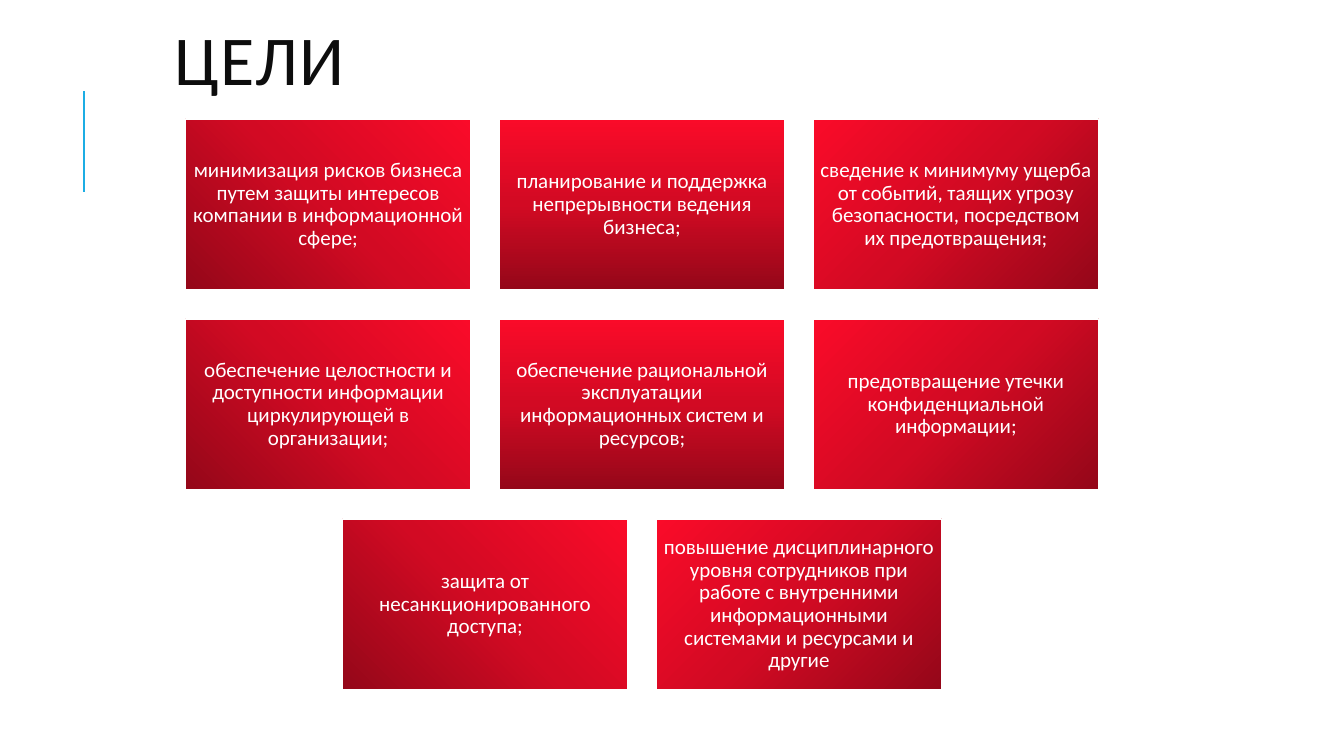
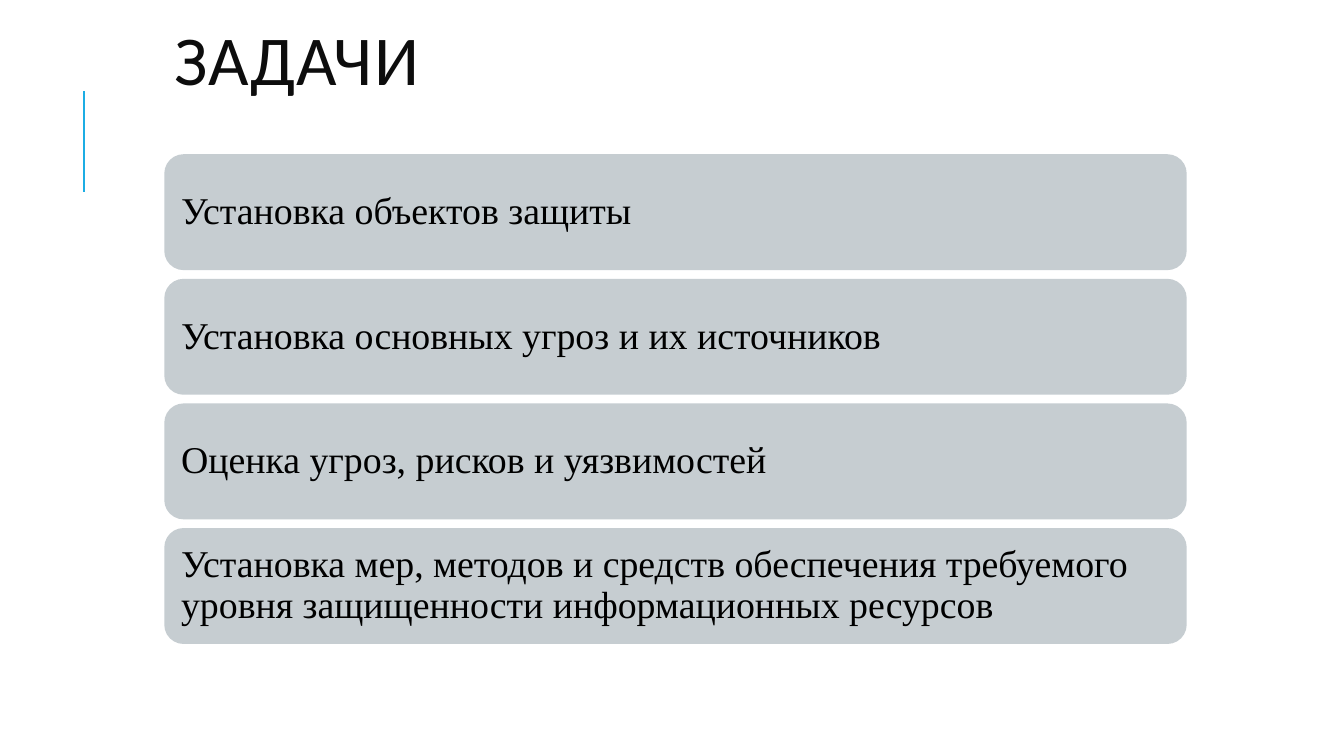
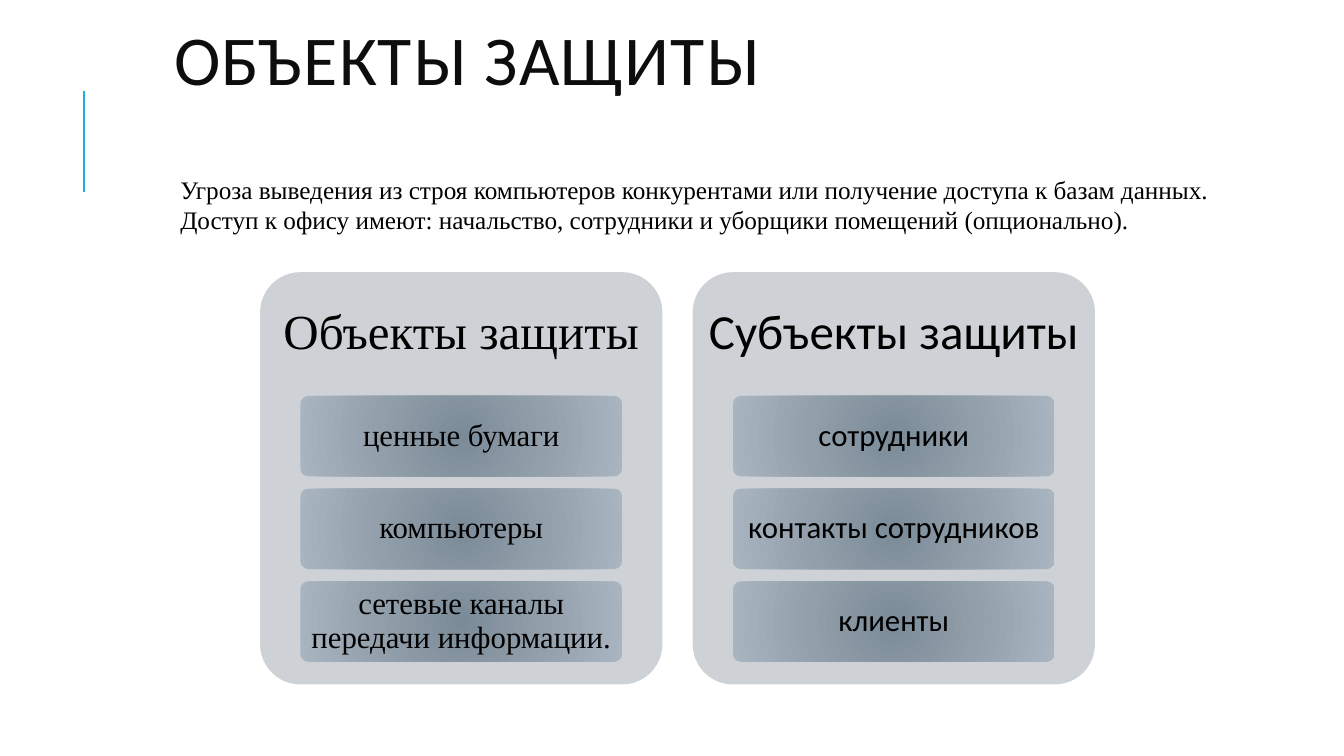
"""Builds three slides on the goals, tasks and objects of information security."""
from dataclasses import dataclass
from typing import NamedTuple

from pptx import Presentation
from pptx.dml.color import RGBColor as Rgb
from pptx.enum.shapes import MSO_CONNECTOR as Link, MSO_SHAPE as Form
from pptx.enum.text import MSO_ANCHOR as Anchor, MSO_AUTO_SIZE as Auto, PP_ALIGN as Align
from pptx.oxml import parse_xml
from pptx.oxml.ns import nsdecls, qn
from pptx.util import Inches, Pt


@dataclass(frozen=True)
class Theme:
    wide: float = 13.33
    high: float = 7.5
    sans: str = "Calibri"
    serif: str = "Times New Roman"
    ink: str = "000000"
    title: str = "0D0D0D"
    white: str = "FFFFFF"
    rule: str = "1CADE4"
    bar: str = "C6CDD1"
    panel: str = "CED2D6"
    reds: tuple = ((0, "940719"), (50, "D20A23"), (100, "FA0B29"))
    greys: tuple = ((0, "7C8B98"), (100, "A8B4BF"))
    title_size: int = 50
    head_size: int = 35
    bar_size: int = 27
    item_size: int = 22
    note_size: int = 18
    card_size: int = 15


class Box(NamedTuple):
    left: float
    top: float
    wide: float
    high: float


class Style(NamedTuple):
    size: int
    face: str
    color: str
    align: Align = Align.CENTER
    space: float = 0.9


class Panel(NamedTuple):
    head: str
    face: str
    items: tuple


THEME = Theme()
GOALS = (
    ("минимизация рисков бизнеса путем защиты интересов компании в информационной сфере;",
     "планирование и поддержка непрерывности ведения бизнеса;",
     "сведение к минимуму ущерба от событий, таящих угрозу безопасности, "
     "посредством их предотвращения;"),
    ("обеспечение целостности и доступности информации циркулирующей в организации;",
     "обеспечение рациональной эксплуатации информационных систем и ресурсов;",
     "предотвращение утечки конфиденциальной информации;"),
    ("защита от несанкционированного доступа;",
     "повышение дисциплинарного уровня сотрудников при работе с внутренними "
     "информационными системами и ресурсами и другие"),
)
TASKS = (
    "Установка объектов защиты",
    "Установка основных угроз и их источников",
    "Оценка угроз, рисков и уязвимостей",
    "Установка мер, методов и средств обеспечения требуемого уровня "
    "защищенности информационных ресурсов",
)
NOTES = (
    "Угроза выведения из строя компьютеров конкурентами или получение доступа к базам данных.",
    "Доступ к офису имеют: начальство, сотрудники и уборщики помещений (опционально).",
)
PANELS = (
    Panel("Объекты защиты", THEME.serif,
          ("ценные бумаги", "компьютеры", "сетевые каналы передачи информации.")),
    Panel("Субъекты защиты", THEME.sans,
          ("сотрудники", "контакты сотрудников", "клиенты")),
)


def write(shape, lines: tuple, style: Style, pad: tuple = (0.1, 0.05),
          anchor: Anchor = Anchor.MIDDLE) -> None:
    """Fill a shape with paragraphs of one style."""
    frame = shape.text_frame
    frame.word_wrap = True
    frame.vertical_anchor = anchor
    frame.margin_left = frame.margin_right = Inches(pad[0])
    frame.margin_top = frame.margin_bottom = Inches(pad[1])
    frame.text = "\n".join(lines)
    for para in frame.paragraphs:
        para.alignment = style.align
        para.line_spacing = style.space
        para.font.size = Pt(style.size)
        para.font.name = style.face
        para.font.color.rgb = Rgb.from_string(style.color)


def add_text(slide, box: Box, lines: tuple, style: Style, **more):
    """Add a text box."""
    shape = slide.shapes.add_textbox(*map(Inches, box))
    write(shape, lines, style, **more)
    return shape


def add_form(slide, form: Form, box: Box, fill: str = "", edge: float | None = None):
    """Add a preset shape without a line or a shadow."""
    shape = slide.shapes.add_shape(form, *map(Inches, box))
    shape.shadow.inherit = False
    shape.line.fill.background()
    if fill:
        shape.fill.solid()
        shape.fill.fore_color.rgb = Rgb.from_string(fill)
    if edge is not None:
        shape.adjustments[0] = edge
    return shape


def blend(shape, stops: tuple, angle: int | None = None) -> None:
    """Give a shape a linear gradient, or a round one if there is no angle."""
    marks = "".join(f'<a:gs pos="{place * 1000}"><a:srgbClr val="{color}"/></a:gs>'
                    for place, color in stops)
    if angle is None:
        course = ('<a:path path="circle"><a:fillToRect l="100000" t="100000" '
                  'r="100000" b="100000"/></a:path>')
    else:
        course = f'<a:lin ang="{angle * 60000}" scaled="0"/>'
    shape.fill.gradient()
    props = shape.element.spPr
    props.replace(props.find(qn("a:gradFill")), parse_xml(
        f'<a:gradFill {nsdecls("a")} rotWithShape="1"><a:gsLst>{marks}</a:gsLst>{course}</a:gradFill>'))


def add_slide(deck, title: str):
    """Add a slide with the side rule and the title."""
    slide = deck.slides.add_slide(deck.slide_layouts[6])
    rule = slide.shapes.add_connector(Link.STRAIGHT, *map(Inches, (0.83, 1.9, 0.83, 0.9)))
    rule.line.color.rgb = Rgb.from_string(THEME.rule)
    rule.line.width = Pt(1.5)
    rule.element.spPr.append(parse_xml(f'<a:effectLst {nsdecls("a")}/>'))
    style = Style(THEME.title_size, THEME.sans, THEME.title, Align.LEFT, 0.8)
    shape = add_text(slide, Box(1.63, 0.22, 11.5, 0.85), (title,), style)
    for font in shape.element.iter(qn("a:defRPr")):
        font.set("spc", "100")
    return slide


def add_goals(deck) -> None:
    """Draw the goals as centred rows of red cards."""
    slide = add_slide(deck, "ЦЕЛИ")
    left, top, wide, high = 1.84, 1.18, 2.83, 1.7
    gap = wide * 0.1
    style = Style(THEME.card_size, THEME.sans, THEME.white)
    most = max(map(len, GOALS))
    for row, goals in enumerate(GOALS):
        shift = (most - len(goals)) / 2
        angles = (315, 270, 225) if len(goals) == most else (315, 225)
        for col, (goal, angle) in enumerate(zip(goals, angles)):
            box = Box(left + (col + shift) * (wide + gap), top + row * (high + gap), wide, high)
            card = add_form(slide, Form.RECTANGLE, box)
            blend(card, THEME.reds, angle)
            card.line.color.rgb = Rgb.from_string(THEME.white)
            card.line.width = Pt(1.25)
            write(card, (goal,), style, pad=(0.06, 0.06))


def add_tasks(deck) -> None:
    """Draw the tasks as a stack of grey bars."""
    slide = add_slide(deck, "ЗАДАЧИ")
    high = 1.15
    step = high * 1.075
    style = Style(THEME.bar_size, THEME.serif, THEME.ink, Align.LEFT)
    for row, task in enumerate(TASKS):
        box = Box(1.63, 1.53 + row * step, 10.14, high)
        bar = add_form(slide, Form.ROUNDED_RECTANGLE, box, THEME.bar)
        write(bar, (task,), style, pad=(0.11, 0.11))


def add_panel(slide, panel: Panel, box: Box) -> None:
    """Draw a panel with its heading and its items."""
    add_form(slide, Form.ROUNDED_RECTANGLE, box, THEME.panel, 0.1)
    head = box._replace(high=box.high * 0.3)
    add_text(slide, head, (panel.head,), Style(THEME.head_size, panel.face, THEME.ink),
             pad=(0.15, 0.15))
    high, gap = 0.8, 0.12
    style = Style(THEME.item_size, panel.face, THEME.ink)
    for row, item in enumerate(panel.items):
        place = Box(box.left + box.wide * 0.1, head.top + head.high + row * (high + gap),
                    box.wide * 0.8, high)
        tile = add_form(slide, Form.ROUNDED_RECTANGLE, place, edge=0.1)
        blend(tile, THEME.greys)
        write(tile, (item,), style, pad=(0.06, 0.05))


def add_objects(deck) -> None:
    """Draw the notes and the two panels."""
    slide = add_slide(deck, "ОБЪЕКТЫ ЗАЩИТЫ")
    style = Style(THEME.note_size, THEME.serif, THEME.ink, Align.JUSTIFY, 1.0)
    note = add_text(slide, Box(1.2, 1.68, 11.46, 0.71), NOTES, style, anchor=Anchor.TOP)
    note.text_frame.auto_size = Auto.SHAPE_TO_FIT_TEXT
    for props in note.element.iter(qn("a:pPr")):
        props.set("indent", str(Inches(0.49)))
    wide, gap = 3.99, 0.3
    for col, panel in enumerate(PANELS):
        add_panel(slide, panel, Box(2.58 + col * (wide + gap), 2.7, wide, 4.09))


def main() -> None:
    """Build and save the deck."""
    deck = Presentation()
    deck.slide_width, deck.slide_height = Inches(THEME.wide), Inches(THEME.high)
    for build in (add_goals, add_tasks, add_objects):
        build(deck)
    deck.save("out.pptx")


if __name__ == "__main__":
    main()
